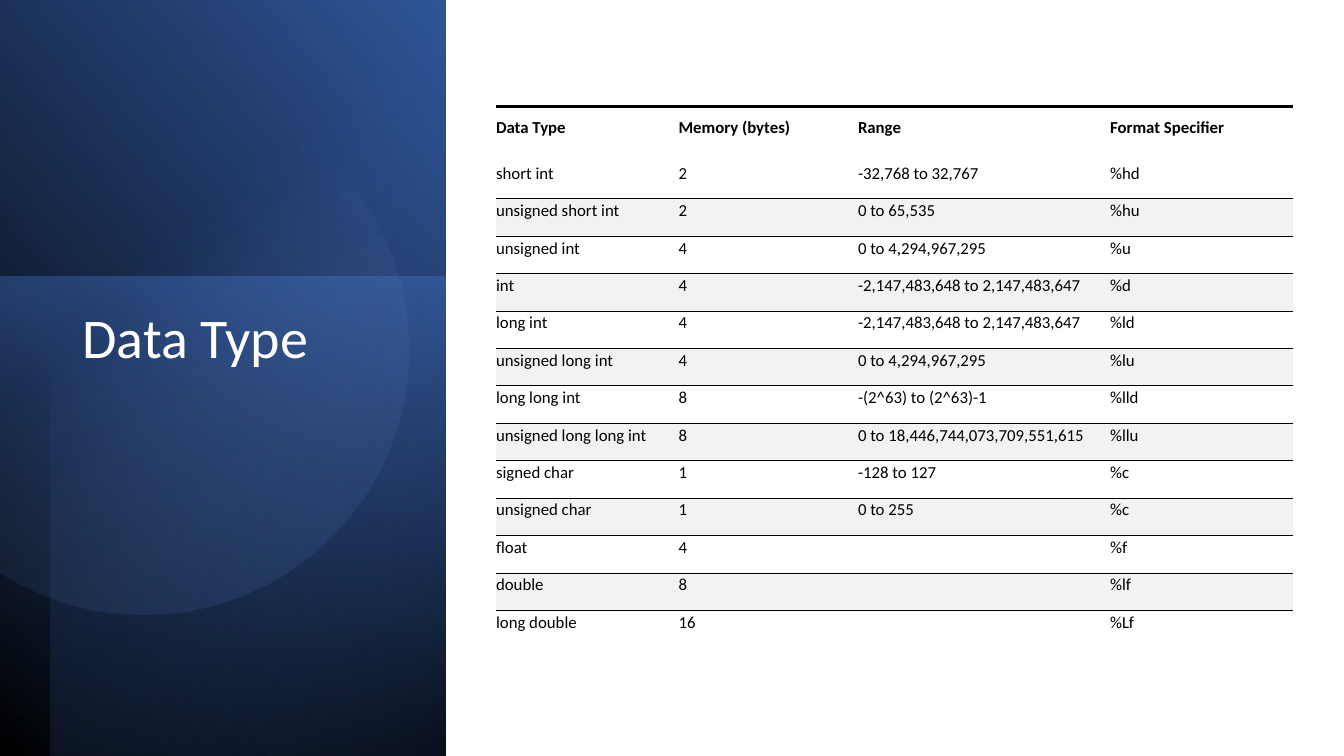
from math import acos, cos, sin

from lxml.etree import SubElement
from pptx import Presentation
from pptx.dml.color import RGBColor
from pptx.enum.shapes import MSO_SHAPE as Preset
from pptx.enum.text import MSO_ANCHOR as Anchor
from pptx.oxml.ns import qn
from pptx.util import Inches, Pt

NO_STYLE = "{2D5ABB26-0587-4C30-8999-92F81FD0307C}"

HEADER = ("Data Type", "Memory (bytes)", "Range", "Format Specifier")
TYPES = [
    ("short int", "2", "-32,768 to 32,767", "%hd"),
    ("unsigned short int", "2", "0 to 65,535", "%hu"),
    ("unsigned int", "4", "0 to 4,294,967,295", "%u"),
    ("int", "4", "-2,147,483,648 to 2,147,483,647", "%d"),
    ("long int", "4", "-2,147,483,648 to 2,147,483,647", "%ld"),
    ("unsigned long int", "4", "0 to 4,294,967,295", "%lu"),
    ("long long int", "8", "-(2^63) to (2^63)-1", "%lld"),
    ("unsigned long long int", "8", "0 to 18,446,744,073,709,551,615", "%llu"),
    ("signed char", "1", "-128 to 127", "%c"),
    ("unsigned char", "1", "0 to 255", "%c"),
    ("float", "4", "", "%f"),
    ("double", "8", "", "%lf"),
    ("long double", "16", "", "%Lf"),
]


def rgb(code):
    return RGBColor.from_string(code)


class SlideBuilder:
    font, ink, band = "Calibri", "000000", "F2F2F2"

    def __init__(self, slide):
        self.slide = slide

    def style_runs(self, paragraph, size, color, bold=False):
        for run in paragraph.runs:
            run.font.name, run.font.size, run.font.bold = self.font, Pt(size), bold
            run.font.color.rgb = rgb(color)

    def gradient(self, shape, stops, angle):
        """Fill with stops of (position, colour, opacity), all in percent."""
        shape.shadow.inherit = False
        shape.line.fill.background()
        shape.fill.background()
        properties = shape._element.spPr
        empty_fill = properties.find(qn("a:noFill"))
        fill = SubElement(properties, qn("a:gradFill"), rotWithShape="1")
        stop_list = SubElement(fill, qn("a:gsLst"))
        for position, color, opacity in stops:
            stop = SubElement(stop_list, qn("a:gs"), pos=str(position * 1000))
            tint = SubElement(stop, qn("a:srgbClr"), val=color)
            SubElement(tint, qn("a:alpha"), val=str(opacity * 1000))
        SubElement(fill, qn("a:lin"), ang=str(round(angle * 60000)), scaled="0")
        properties.replace(empty_fill, fill)

    def panel(self, box, rotation, stops, angle, flip=False):
        panel = self.slide.shapes.add_shape(Preset.RECTANGLE, *map(Inches, box))
        panel.rotation = rotation
        if flip:
            panel._element.spPr.get_or_add_xfrm().set("flipH", "1")
        self.gradient(panel, stops, angle)

    def cut_circle(self, x, y, radius, stops, angle, steps=120):
        """Circle cut off by the slide's left edge."""
        limit = acos(-x / radius)
        turns = [limit * (2 * step / steps - 1) for step in range(steps + 1)]
        points = [(Inches(x + radius * cos(t)), Inches(y + radius * sin(t)))
                  for t in turns]
        outline = self.slide.shapes.build_freeform(*points[0])
        outline.add_line_segments(points[1:], close=True)
        self.gradient(outline.convert_to_shape(), stops, angle)

    def title(self, text, box):
        frame = self.slide.shapes.add_textbox(*map(Inches, box)).text_frame
        frame.word_wrap = True
        frame.text = text
        frame.paragraphs[0].line_spacing = 0.9
        self.style_runs(frame.paragraphs[0], 40, "FFFFFF")

    def top_border(self, cell, width):
        properties = cell._tc.get_or_add_tcPr()
        border = SubElement(properties, qn("a:lnT"), w=str(Pt(width)))
        solid = SubElement(border, qn("a:solidFill"))
        SubElement(solid, qn("a:srgbClr"), val=self.ink)
        properties.insert(0, border)

    def cell(self, cell, text, bold, shaded):
        cell.text = text
        cell.vertical_anchor = Anchor.MIDDLE
        cell.margin_left, cell.margin_right = Inches(0), Inches(0.05)
        cell.margin_top = Inches(0.02)
        cell.margin_bottom = Inches(0.15 if text else 0.02)
        self.style_runs(cell.text_frame.paragraphs[0], 12, self.ink, bold)
        if shaded:
            cell.fill.solid()
            cell.fill.fore_color.rgb = rgb(self.band)
        else:
            cell.fill.background()

    def table(self, rows, box, widths, header_height):
        frame = self.slide.shapes.add_table(len(rows), len(widths), *map(Inches, box))
        table = frame.table
        table.first_row = table.horz_banding = False
        table._tbl.tblPr.find(qn("a:tableStyleId")).text = NO_STYLE
        for column, width in zip(table.columns, widths):
            column.width = Inches(width)
        row_height = (box[3] - header_height) / (len(rows) - 1)
        for r, values in enumerate(rows):
            is_header = r == 0
            shaded = r > 0 and r % 2 == 0
            table.rows[r].height = Inches(header_height if is_header else row_height)
            for c, value in enumerate(values):
                self.cell(table.cell(r, c), value, is_header, shaded)
                if is_header or shaded:
                    self.top_border(table.cell(r, c), 2.25 if is_header else 0.5)


def main():
    deck = Presentation()
    deck.slide_width, deck.slide_height = Inches(13.33), Inches(7.5)
    page = SlideBuilder(deck.slides.add_slide(deck.slide_layouts[6]))

    # Blue side panel, built from layered gradients
    page.panel((-1.55, 1.55, 7.52, 4.42), 90,
               [(0, "000000", 100), (100, "2F5597", 100)], 310, flip=True)
    page.panel((-0.17, 2.91, 4.76, 4.42), 270,
               [(0, "4472C4", 50), (100, "203864", 0)], 190)
    page.panel((-1.29, 1.79, 7.5, 3.92), 270,
               [(0, "000000", 59), (69, "4472C4", 0)], 220, flip=True)
    page.cut_circle(1.42, 3.47, 2.63,
                    [(39, "8FAADC", 0), (100, "2F5597", 26)], 51.6)

    # Title
    page.title("Data Type", (0.72, 3.03, 3.15, 3.36))

    # Table of types
    page.table([HEADER] + TYPES, (4.92, 1.06, 7.9, 5.37),
               (1.81, 1.78, 2.5, 1.81), header_height=0.54)

    deck.save("out.pptx")


if __name__ == "__main__":
    main()
